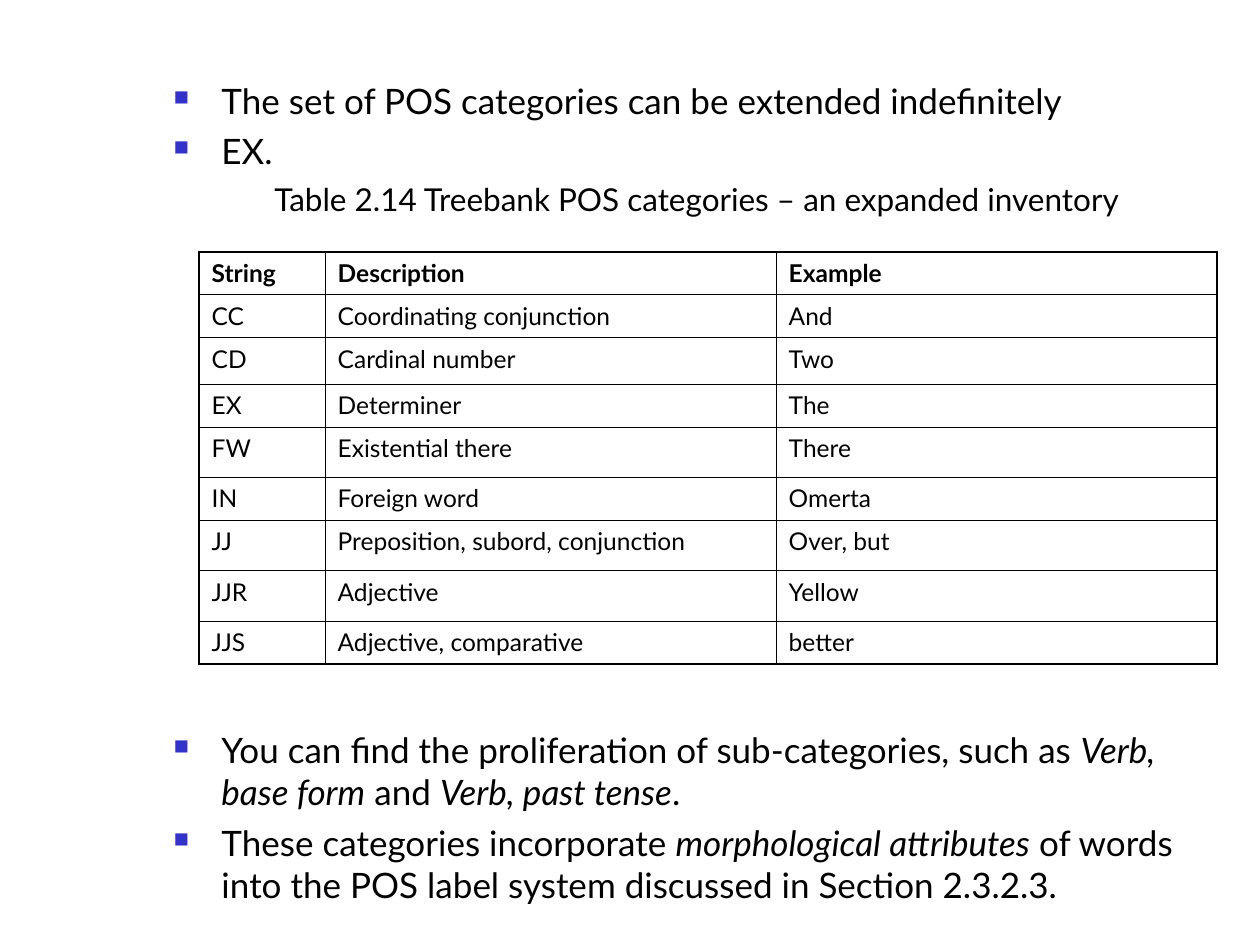
from lxml import etree
from pptx import Presentation, util as u
from pptx.dml.color import RGBColor
from pptx.enum import text
from pptx.oxml import ns

COLOURS = {"ink": "000000", "bullet": "3333CC"}
FONT = "Lato"
THIN, THICK = 0.45, 1.08


def add_text(para, content, size, bold=False, italic=False):
    span = para.add_run()
    span.text = content
    span.font.name = FONT
    span.font.size = u.Pt(size)
    span.font.bold = bold
    span.font.italic = italic
    span.font.color.rgb = RGBColor.from_string(COLOURS["ink"])


def set_borders(cell, widths):
    """Draw the cell's edges; widths are points for left, right, top, bottom."""
    props = cell._tc.get_or_add_tcPr()
    for place, (side, width) in enumerate(zip("LRTB", widths)):
        line = etree.Element(ns.qn(f"a:ln{side}"), w=str(int(u.Pt(width))))
        fill = etree.SubElement(line, ns.qn("a:solidFill"))
        etree.SubElement(fill, ns.qn("a:srgbClr"), val=COLOURS["ink"])
        props.insert(place, line)


deck = Presentation()
deck.slide_width, deck.slide_height = u.Inches(10), u.Inches(7.5)
page = deck.slides.add_slide(deck.slide_layouts[6])

# Body text: the space before the third bullet leaves room for the table.
# Each entry: bulleted, size, space before, spans as (words, italic)
paragraphs = [
    (True, 20, 0, [("The set of POS categories can be extended indefinitely", False)]),
    (True, 20, 5, [("EX.", False)]),
    (False, 18, 4.5, [("Table 2.14 Treebank POS categories – an expanded inventory", False)]),
    (True, 20, 292, [
        ("You can find the proliferation of sub-categories, such as ", False),
        ("Verb, base form", True), (" and ", False),
        ("Verb, past tense", True), (".", False)]),
    (True, 20, 5, [
        ("These categories incorporate ", False), ("morphological attributes", True),
        (" of words into the POS label system discussed in Section 2.3.2.3.", False)]),
]
box = page.shapes.add_textbox(u.Inches(1.28), u.Inches(0.58), u.Inches(8.5), u.Inches(6.67))
frame = box.text_frame
frame.word_wrap = True
for number, (bulleted, size, before, spans) in enumerate(paragraphs):
    para = frame.add_paragraph() if number else frame.paragraphs[0]
    props = para._p.get_or_add_pPr()
    props.set("marL", str(u.Inches(0.38)))
    props.set("indent", str(-u.Inches(0.38)))
    if bulleted:
        colour = etree.SubElement(props, ns.qn("a:buClr"))
        etree.SubElement(colour, ns.qn("a:srgbClr"), val=COLOURS["bullet"])
        etree.SubElement(props, ns.qn("a:buSzPct"), val="60000")
        etree.SubElement(props, ns.qn("a:buChar"), char="■")
    else:
        para.alignment = text.PP_ALIGN.CENTER
    para.space_before = u.Pt(before)
    for words, italic in spans:
        add_text(para, words, size, italic=italic)

# Table of categories
rows = [
    ("String", "Description", "Example"),
    ("CC", "Coordinating conjunction", "And"),
    ("CD", "Cardinal number", "Two"),
    ("EX", "Determiner", "The"),
    ("FW", "Existential there", "There"),
    ("IN", "Foreign word", "Omerta"),
    ("JJ", "Preposition, subord, conjunction", "Over, but"),
    ("JJR", "Adjective", "Yellow"),
    ("JJS", "Adjective, comparative", "better"),
]
column_widths = [1, 3.58, 3.5]
row_heights = [0.34, 0.34, 0.37, 0.34, 0.4, 0.34, 0.4, 0.4, 0.34]
table = page.shapes.add_table(
    len(rows), len(column_widths), u.Inches(1.58), u.Inches(2),
    u.Inches(sum(column_widths)), u.Inches(sum(row_heights))).table
table.first_row = table.horz_banding = False
for column, width in zip(table.columns, column_widths):
    column.width = u.Inches(width)
for row, height in zip(table.rows, row_heights):
    row.height = u.Inches(height)

last_row, last_column = len(rows) - 1, len(column_widths) - 1
for r, entries in enumerate(rows):
    for c, entry in enumerate(entries):
        cell = table.cell(r, c)
        cell.fill.background()
        add_text(cell.text_frame.paragraphs[0], entry, 14, bold=r == 0)
        outer = (c == 0, c == last_column, r == 0, r == last_row)
        set_borders(cell, [THICK if edge else THIN for edge in outer])

deck.save("out.pptx")
